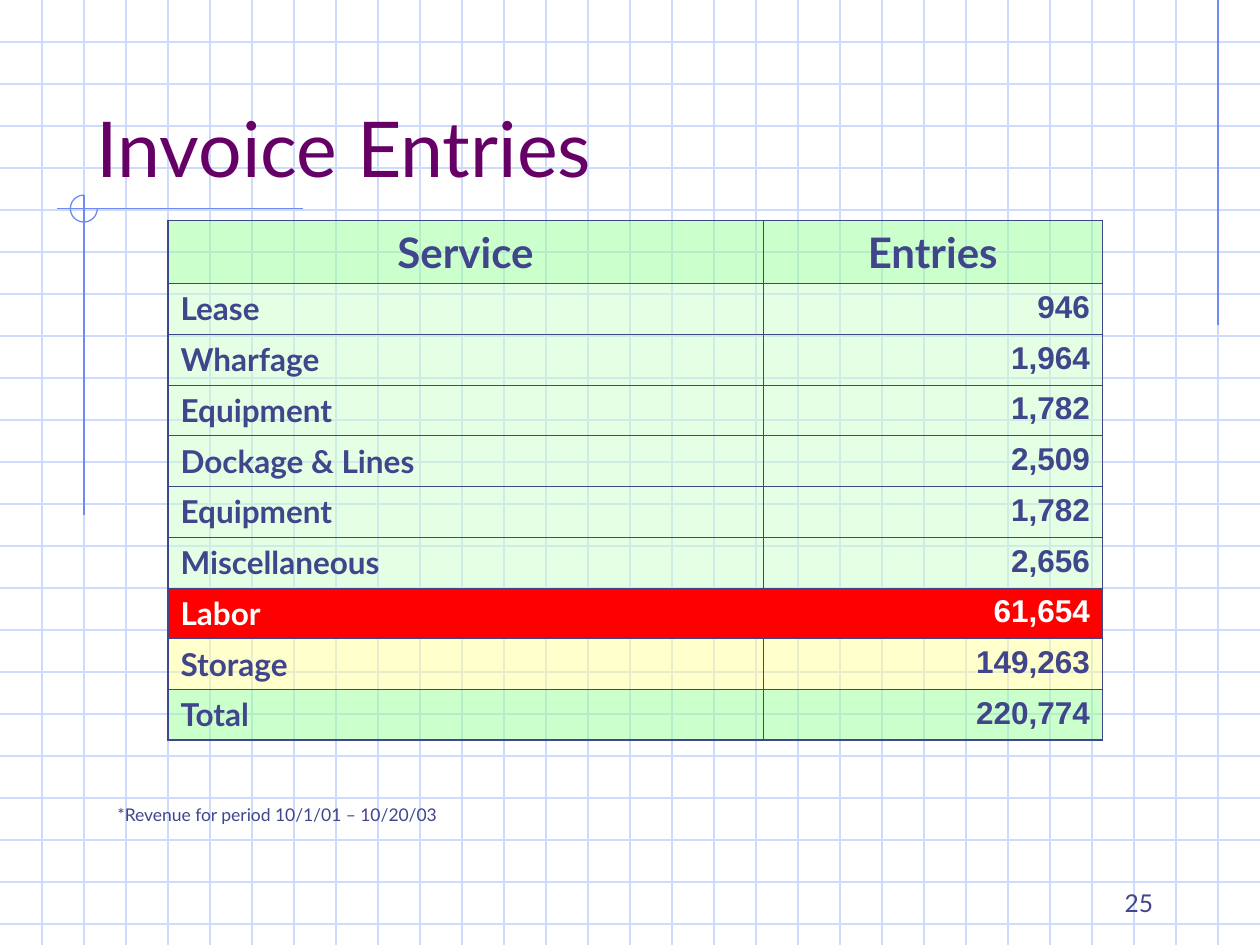
from dataclasses import dataclass

from lxml.etree import SubElement
from pptx import Presentation
from pptx.dml.color import RGBColor
from pptx.enum.shapes import MSO_CONNECTOR as Connector, MSO_SHAPE as Shape
from pptx.enum.text import MSO_ANCHOR as Anchor, MSO_AUTO_SIZE as AutoSize, PP_ALIGN as Align
from pptx.oxml import parse_xml
from pptx.oxml.ns import nsdecls, qn
from pptx.util import Pt

COLORS = {
    "grid": "CFDBFD",
    "accent": "6F89F7",
    "title": "660066",
    "ink": "40458C",
    "white": "FFFFFF",
    "strong_green": "99FF99",
    "pale_green": "CCFFCC",
    "yellow": "FFFF99",
    "red": "FF0000",
}
SLIDE_WIDTH, SLIDE_HEIGHT, GRID_STEP = 720, 540, 24
COLUMN_WIDTHS = (340, 194)
HEADER_HEIGHT, ENTRY_HEIGHT = 36, 29
OUTER_BORDER, INNER_BORDER = 1.08, 0.45


@dataclass(frozen=True)
class Rule:
    x1: float
    y1: float
    x2: float
    y2: float
    color: str


@dataclass(frozen=True)
class TextStyle:
    size: float
    color: str = "ink"
    font: str = "Lato"
    bold: bool = False
    align: Align = Align.LEFT


@dataclass(frozen=True)
class Entry:
    service: str
    count: str
    fill: str = "pale_green"
    ink: str = "ink"
    opacity: int = 50


ENTRIES = (
    Entry("Lease", "946"),
    Entry("Wharfage", "1,964"),
    Entry("Equipment", "1,782"),
    Entry("Dockage & Lines", "2,509"),
    Entry("Equipment", "1,782"),
    Entry("Miscellaneous", "2,656"),
    Entry("Labor", "61,654", "red", "white", 100),
    Entry("Storage", "149,263", "yellow"),
    Entry("Total", "220,774", "strong_green"),
)


def rgb(name: str) -> RGBColor:
    return RGBColor.from_string(COLORS[name])


def draw_rule(slide, rule: Rule) -> None:
    line = slide.shapes.add_connector(
        Connector.STRAIGHT, Pt(rule.x1), Pt(rule.y1), Pt(rule.x2), Pt(rule.y2))
    line.line.color.rgb = rgb(rule.color)
    line.line.width = Pt(0.75)
    SubElement(line._element.spPr, qn("a:effectLst"))


def write(frame, text: str, style: TextStyle) -> None:
    paragraph = frame.paragraphs[0]
    paragraph.alignment = style.align
    run = paragraph.add_run()
    run.text = text
    run.font.name = style.font
    run.font.size = Pt(style.size)
    run.font.bold = style.bold
    run.font.color.rgb = rgb(style.color)


def draw_background(slide) -> None:
    for y in range(GRID_STEP, SLIDE_HEIGHT, GRID_STEP):
        draw_rule(slide, Rule(0, y, SLIDE_WIDTH, y, "grid"))
    for x in range(GRID_STEP, SLIDE_WIDTH, GRID_STEP):
        draw_rule(slide, Rule(x, 0, x, SLIDE_HEIGHT, "grid"))
    for rule in (
        Rule(696, 0, 696, 186, "accent"),
        Rule(173, 119.2, 32.5, 119.2, "accent"),
        Rule(48, 111.5, 48, 294.5, "accent"),
    ):
        draw_rule(slide, rule)
    arc = slide.shapes.add_shape(Shape.ARC, Pt(40.2), Pt(111.5), Pt(15.4), Pt(15.4))
    arc.adjustments[0] = 0
    arc.adjustments[1] = 162
    arc.shadow.inherit = False
    arc.fill.background()
    arc.line.color.rgb = rgb("accent")
    arc.line.width = Pt(0.75)


def draw_title(slide) -> None:
    title = slide.shapes.title
    title.left, title.top, title.width, title.height = Pt(48), Pt(24), Pt(612), Pt(90)
    frame = title.text_frame
    frame.auto_size = AutoSize.NONE
    frame.word_wrap = True
    frame.vertical_anchor = Anchor.BOTTOM
    write(frame, "Invoice Entries", TextStyle(44, "title"))
    slide.shapes._spTree.append(title._element)


def format_cell(cell, fill: str, opacity: int, borders: dict[str, float]) -> None:
    cell.fill.solid()
    cell.fill.fore_color.rgb = rgb(fill)
    properties = cell._tc.get_or_add_tcPr()
    if opacity < 100:
        color = properties.find(".//" + qn("a:srgbClr"))
        SubElement(color, qn("a:alpha")).set("val", str(opacity * 1000))
    for position, (side, width) in enumerate(borders.items()):
        properties.insert(position, parse_xml(
            f'<a:ln{side} {nsdecls("a")} w="{int(Pt(width))}"><a:solidFill>'
            f'<a:srgbClr val="{COLORS["ink"]}"/></a:solidFill></a:ln{side}>'))


def draw_table(slide) -> None:
    rows = (Entry("Service", "Entries", "strong_green"), *ENTRIES)
    height = HEADER_HEIGHT + ENTRY_HEIGHT * len(ENTRIES)
    table = slide.shapes.add_table(
        len(rows), 2, Pt(96), Pt(126), Pt(sum(COLUMN_WIDTHS)), Pt(height)).table
    table.first_row = False
    table.horz_banding = False
    for column, width in zip(table.columns, COLUMN_WIDTHS):
        column.width = Pt(width)
    for r, entry in enumerate(rows):
        is_header = r == 0
        table.rows[r].height = Pt(HEADER_HEIGHT if is_header else ENTRY_HEIGHT)
        if is_header:
            styles = (TextStyle(24, bold=True, align=Align.CENTER),) * 2
        else:
            styles = (
                TextStyle(18, entry.ink, bold=True),
                TextStyle(18, entry.ink, "Arial", True, Align.RIGHT),
            )
        for c, (text, style) in enumerate(zip((entry.service, entry.count), styles)):
            outer_sides = {"L": c == 0, "R": c == 1, "T": is_header, "B": r == len(rows) - 1}
            borders = {side: OUTER_BORDER if outer else INNER_BORDER
                       for side, outer in outer_sides.items()}
            cell = table.cell(r, c)
            format_cell(cell, entry.fill, entry.opacity, borders)
            write(cell.text_frame, text, style)


def draw_note(slide, text: str, left: float, top: float, width: float, height: float,
              style: TextStyle, anchor: Anchor = Anchor.TOP) -> None:
    frame = slide.shapes.add_textbox(Pt(left), Pt(top), Pt(width), Pt(height)).text_frame
    frame.word_wrap = True
    frame.vertical_anchor = anchor
    write(frame, text, style)


def main() -> None:
    deck = Presentation()
    deck.slide_width, deck.slide_height = Pt(SLIDE_WIDTH), Pt(SLIDE_HEIGHT)
    slide = deck.slides.add_slide(deck.slide_layouts[5])
    slide.background.fill.solid()
    slide.background.fill.fore_color.rgb = rgb("white")
    draw_background(slide)
    draw_title(slide)
    draw_table(slide)
    draw_note(slide, "*Revenue for period 10/1/01 – 10/20/03", 60, 456, 588, 19.4, TextStyle(10))
    draw_note(slide, "25", 516, 492, 150, 36, TextStyle(14, align=Align.RIGHT), Anchor.BOTTOM)
    deck.save("out.pptx")


if __name__ == "__main__":
    main()
